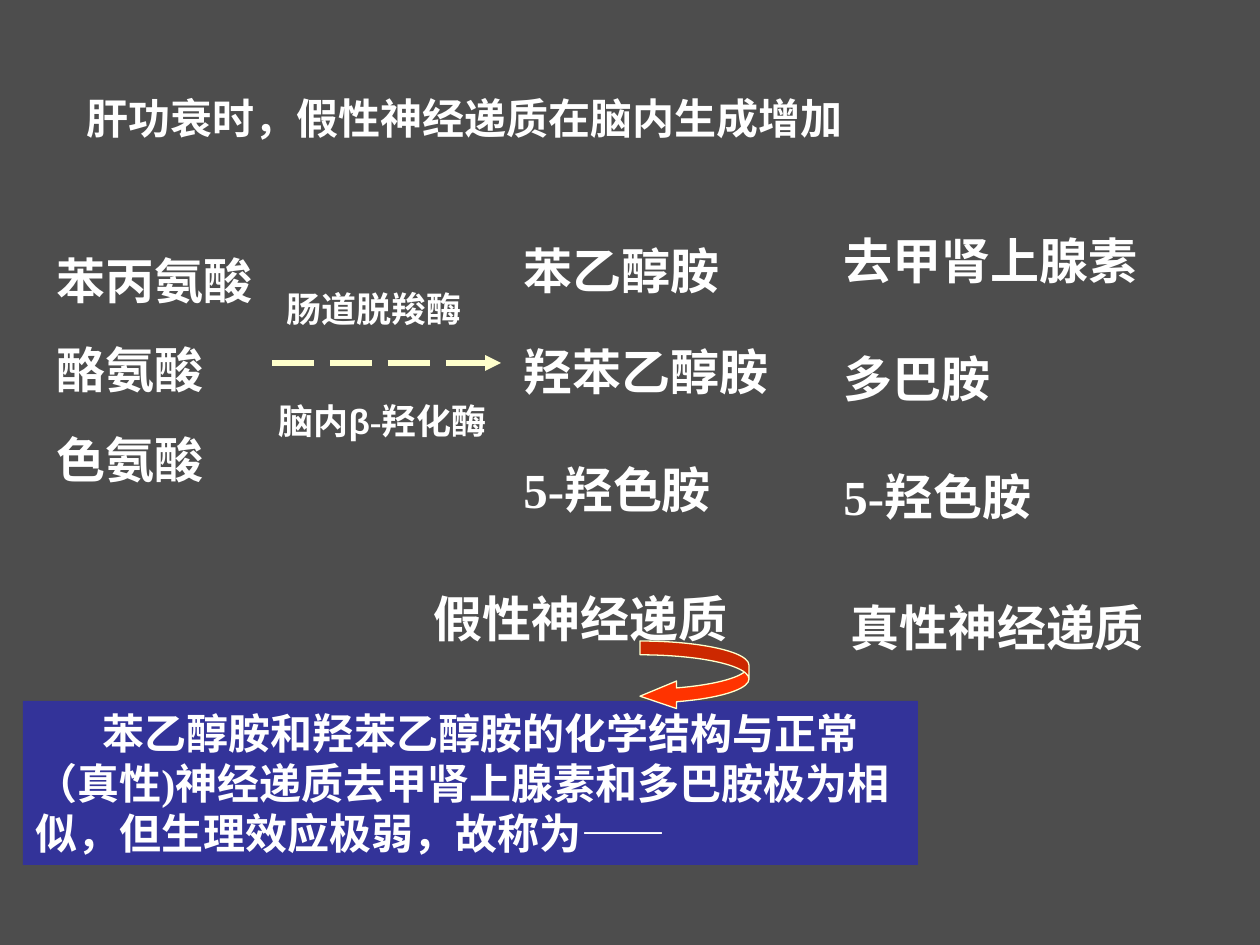
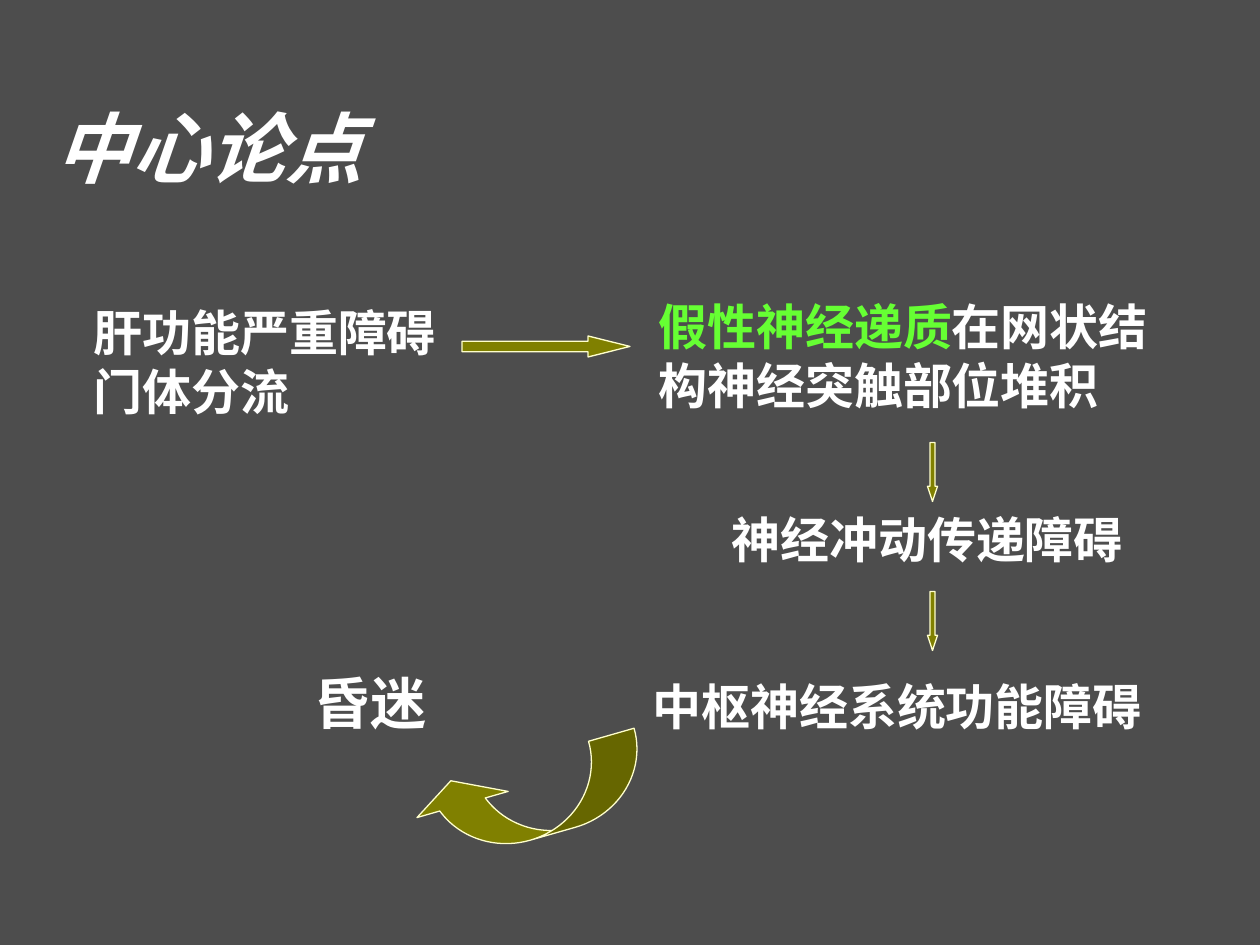
"""Build two slides on false neurotransmitters in liver failure."""
from lxml.etree import SubElement
from pptx import Presentation
from pptx.dml.color import RGBColor
from pptx.enum.dml import MSO_LINE_DASH_STYLE as Dash
from pptx.enum.shapes import MSO_CONNECTOR as Connector, MSO_SHAPE as Preset
from pptx.enum.text import MSO_ANCHOR as Anchor, MSO_AUTO_SIZE as AutoSize, PP_ALIGN as Align
from pptx.oxml.ns import qn
from pptx.util import Pt

PX = 914400 / 126
GREY, WHITE, CREAM = "4D4D4D", "FFFFFF", "FFFFCC"
BLUE, RED, OLIVE, GREEN = "333399", "FF3300", "808000", "66FF33"
SERIF, SANS = "Times New Roman", "Arial"

PATHWAY_TITLE = "肝功衰时，假性神经递质在脑内生成增加"
PATHWAY_TEXTS = [
    ((44, 244, 399, 340), ["苯丙氨酸", "酪氨酸", "色氨酸"], dict(gaps=(0, 17.5, 17.5))),
    ((511, 234, 328, 290), ["苯乙醇胺", "羟苯乙醇胺", "5-羟色胺"], dict(gaps=(0, 24, 34))),
    ((831, 224, 324, 365), ["去甲肾上腺素", "多巴胺", "5-羟色胺"], dict(gaps=(0, 34, 34))),
    ((421, 582, 360, 72), ["假性神经递质"], {}),
    ((838, 591, 379, 72), ["真性神经递质"], {}),
    ((274, 281, 210, 55), ["肠道脱羧酶"], dict(size=20)),
    ((266, 393, 246, 55), [[("脑内", {}), ("β", dict(font=SANS)), ("-羟化酶", {})]],
     dict(size=20)),
]
ENZYME_ARROW = (272, 363, 501, 363)
SUMMARY_AREA = (23, 701, 895, 164)
SUMMARY = ("苯乙醇胺和羟苯乙醇胺的化学结构与正常（真性)神经递质去甲肾上腺素"
           "和多巴胺极为相似，但生理效应极弱，故称为——")
SUMMARY_ARROW = (640, 641, 109, 69)

THESIS_TITLE = "中心论点"
THESIS_TEXTS = [
    ((81, 296, 372, 131), ["肝功能严重障碍", "门体分流"], {}),
    ((646, 290, 561, 131),
     [[("假性神经递质", dict(color=GREEN)), ("在网状结构神经突触部位堆积", {})]], {}),
    ((719, 503, 421, 72), ["神经冲动传递障碍"], {}),
    ((640, 670, 520, 72), ["中枢神经系统功能障碍"], {}),
    ((302, 662, 145, 81), ["昏迷"], dict(size=32)),
]
THESIS_ARROWS = [
    (Preset.RIGHT_ARROW, (462, 336, 168, 21), (0.5, 2), 0),
    (Preset.CURVED_LEFT_ARROW, (491, 680, 79, 238), (0.6, 1.2, 0.33), 74),
    (Preset.RIGHT_ARROW, (903, 467, 59, 10), (0.5, 1.51), 90),
    (Preset.RIGHT_ARROW, (903, 616, 59, 10), (0.5, 1.51), 90),
]


def emu(lengths):
    return [round(length * PX) for length in lengths]


def paint(target, color):
    target.solid()
    target.fore_color.rgb = RGBColor.from_string(color)


def write(frame, paragraphs, size=28, color=WHITE, font=SERIF, italic=False,
          gaps=(), indent=0, anchor=Anchor.TOP):
    frame.word_wrap = True
    frame.auto_size = AutoSize.SHAPE_TO_FIT_TEXT
    frame.vertical_anchor = anchor
    for number, content in enumerate(paragraphs):
        para = frame.add_paragraph() if number else frame.paragraphs[0]
        para.alignment = Align.LEFT
        para.space_before = Pt(gaps[number] if gaps else 0)
        if indent:
            para._p.get_or_add_pPr().set("indent", str(round(indent * PX)))
        spans = [(content, {})] if isinstance(content, str) else content
        for text, changes in spans:
            span = para.add_run()
            span.text = text
            span.font.size = Pt(size)
            span.font.bold = True
            span.font.italic = italic
            span.font.name = changes.get("font", font)
            paint(span.font.fill, changes.get("color", color))


def add_page(deck, title, area, texts, **title_format):
    page = deck.slides.add_slide(deck.slide_layouts[5])
    heading = page.shapes.title
    heading.left, heading.top, heading.width, heading.height = emu(area)
    write(heading.text_frame, [title], **title_format)
    for place, paragraphs, text_format in texts:
        box = page.shapes.add_textbox(*emu(place))
        write(box.text_frame, paragraphs, **text_format)
    return page


def add_figure(page, preset, area, fill, outline=None, adjustments=(), rotation=0):
    figure = page.shapes.add_shape(preset, *emu(area))
    figure.shadow.inherit = False
    figure.rotation = rotation
    paint(figure.fill, fill)
    if outline:
        paint(figure.line.fill, outline)
        figure.line.width = Pt(0.75)
    else:
        figure.line.fill.background()
    for number, value in enumerate(adjustments):
        figure.adjustments[number] = value
    return figure


def add_dashed_arrow(page, ends):
    arrow = page.shapes.add_connector(Connector.STRAIGHT, *emu(ends))
    paint(arrow.line.fill, CREAM)
    arrow.line.width = Pt(3)
    arrow.line.dash_style = Dash.LONG_DASH
    SubElement(arrow.line._get_or_add_ln(), qn("a:tailEnd"), type="triangle")
    SubElement(arrow._element.spPr, qn("a:effectLst"))


def main():
    deck = Presentation()
    deck.slide_width, deck.slide_height = emu((1260, 945))
    paint(deck.slide_master.background.fill, GREY)

    pathway = add_page(deck, PATHWAY_TITLE, (74, 86, 903, 63), PATHWAY_TEXTS, size=24)
    add_dashed_arrow(pathway, ENZYME_ARROW)
    summary = add_figure(pathway, Preset.RECTANGLE, SUMMARY_AREA, BLUE)
    write(summary.text_frame, [SUMMARY], size=24, indent=67)
    add_figure(pathway, Preset.CURVED_LEFT_ARROW, SUMMARY_ARROW, RED, CREAM, (0.2, 0.4, 0.53))

    thesis = add_page(deck, THESIS_TITLE, (42, 94, 504, 105), THESIS_TEXTS,
                      size=44, font=SANS, italic=True, anchor=Anchor.BOTTOM)
    for preset, area, adjustments, rotation in THESIS_ARROWS:
        add_figure(thesis, preset, area, OLIVE, CREAM, adjustments, rotation)

    deck.save("out.pptx")


if __name__ == "__main__":
    main()
